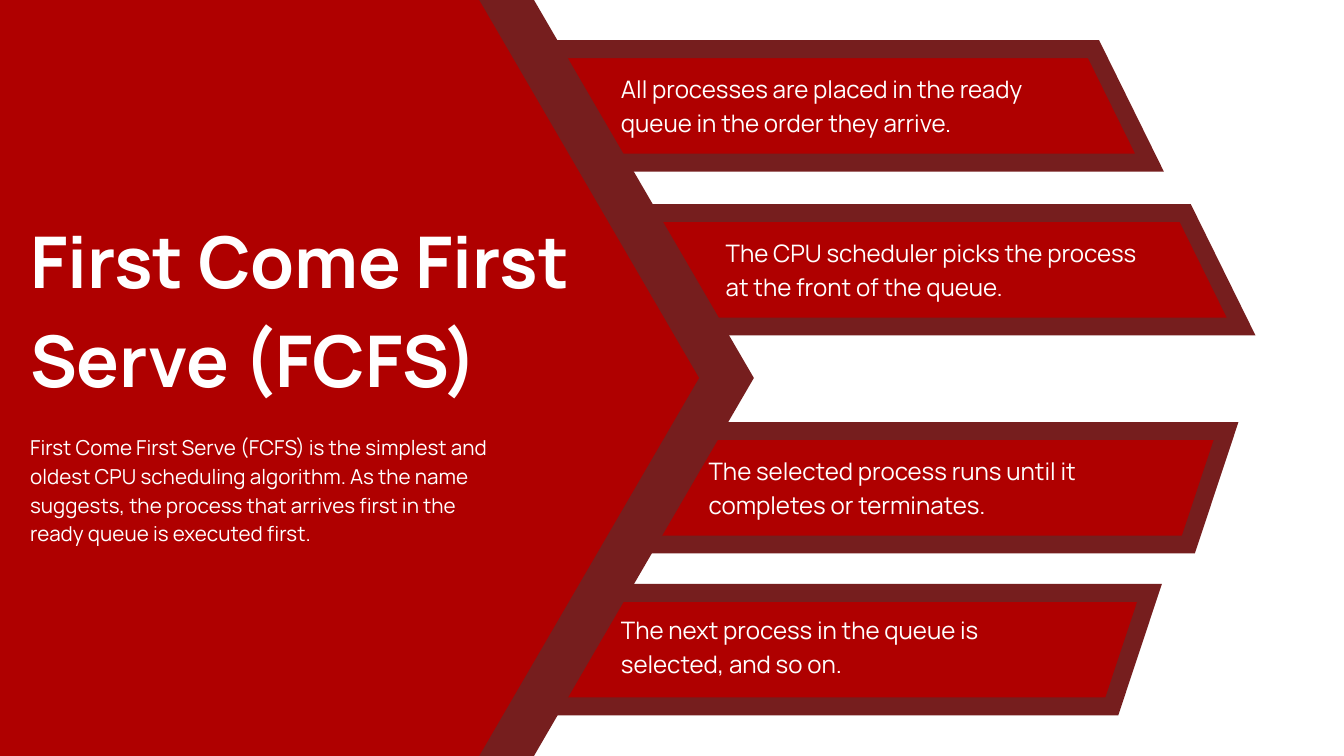
from lxml import etree
from pptx import Presentation
from pptx.dml.color import RGBColor
from pptx.enum.text import MSO_ANCHOR, MSO_AUTO_SIZE, PP_ALIGN
from pptx.oxml.ns import qn
from pptx.util import Cm, Pt

# Content
TITLE = "First Come First Serve (FCFS)"
INTRO = ("First Come First Serve (FCFS) is the simplest and oldest CPU scheduling "
         "algorithm. As the name suggests, the process that arrives first in the "
         "ready queue is executed first.")

# Band slants in cm: (shift of the bottom edge, edge length)
DOWN_RIGHT, DOWN_LEFT = (1.41, 14.58), (-0.95, 15.05)

# Steps: text, band left, band top, slant, text box (left, top, width) in cm
STEPS = [
    ("All processes are placed in the ready queue in the order they arrive.",
     12.98, 1.24, DOWN_RIGHT, (15.65, 1.75, 11.33)),
    ("The CPU scheduler picks the process at the front of the queue.",
     15.29, 5.37, DOWN_RIGHT, (18.29, 5.89, 10.64)),
    ("The selected process runs until it completes or terminates.",
     15.85, 10.86, DOWN_LEFT, (17.86, 11.38, 10.06)),
    ("The next process in the queue is selected, and so on.",
     13.92, 14.94, DOWN_LEFT, (15.65, 15.39, 10.64)),
]
BAND_HEIGHT = 2.86
STEP_TEXT_HEIGHT = 1.68
COLORS = {"fill": "AF0000", "border": "761E1E", "text": "FFFFFF"}
FONT = "Manrope"

prs = Presentation()
prs.slide_width, prs.slide_height = Cm(33.87), Cm(19.05)
s = prs.slides.add_slide(prs.slide_layouts[1])


def add_polygon(points, border):
    corners = [(Cm(x), Cm(y)) for x, y in points]
    builder = s.shapes.build_freeform(*corners[0])
    builder.add_line_segments(corners[1:], close=True)
    sp = builder.convert_to_shape()
    sp.shadow.inherit = False
    sp.fill.solid()
    sp.fill.fore_color.rgb = RGBColor.from_string(COLORS["fill"])
    sp.line.color.rgb = RGBColor.from_string(COLORS["border"])
    sp.line.width = Pt(border)
    miter = etree.SubElement(sp.line._get_or_add_ln(), qn("a:miter"))
    miter.set("lim", "800000")


def set_text(sp, text, box, size, spacing, bold=False):
    sp.left, sp.top, sp.width, sp.height = (Cm(v) for v in box)
    tf = sp.text_frame
    tf.text = text
    tf.word_wrap = True
    tf.auto_size = MSO_AUTO_SIZE.NONE
    tf.vertical_anchor = MSO_ANCHOR.TOP
    tf.margin_left = tf.margin_top = tf.margin_right = tf.margin_bottom = 0
    p = tf.paragraphs[0]
    p.alignment = PP_ALIGN.LEFT
    p.line_spacing = Pt(spacing)
    p.space_before = Pt(0)
    font = p.runs[0].font
    font.name, font.size, font.bold = FONT, Pt(size), bold
    font.color.rgb = RGBColor.from_string(COLORS["text"])


# Slanted bands
for _, left, top, (shift, length), _ in STEPS:
    bottom = top + BAND_HEIGHT
    add_polygon([(left, top), (left + length, top),
                 (left + length + shift, bottom), (left + shift, bottom)], 12.75)

# Large hexagon, running off the left edge
cx, cy, half_width, half_height = 5.3, 9.525, 13.01, 11.18
half_side = half_width / 2
add_polygon([(cx + half_width, cy), (cx + half_side, cy + half_height),
             (cx - half_side, cy + half_height), (cx - half_width, cy),
             (cx - half_side, cy - half_height), (cx + half_side, cy - half_height)], 33.75)

# Title and introduction, brought in front of the hexagon
title, intro = s.shapes.title, s.placeholders[1]
for sp in (title, intro):
    s.shapes.element.append(sp.element)
set_text(title, TITLE, (0.76, 5.11, 14.43, 4.93), 50.9, 71.2, bold=True)
set_text(intro, INTRO, (0.76, 10.85, 11.56, 2.95), 14.7, 20.6)
pPr = intro.text_frame.paragraphs[0]._p.get_or_add_pPr()
pPr.set("marL", "0")
pPr.set("indent", "0")
etree.SubElement(pPr, qn("a:buNone"))

# Step texts
for text, _, _, _, (left, top, width) in STEPS:
    sp = s.shapes.add_textbox(0, 0, 0, 0)
    set_text(sp, text, (left, top, width, STEP_TEXT_HEIGHT), 17.2, 24.1)

prs.save("out.pptx")
